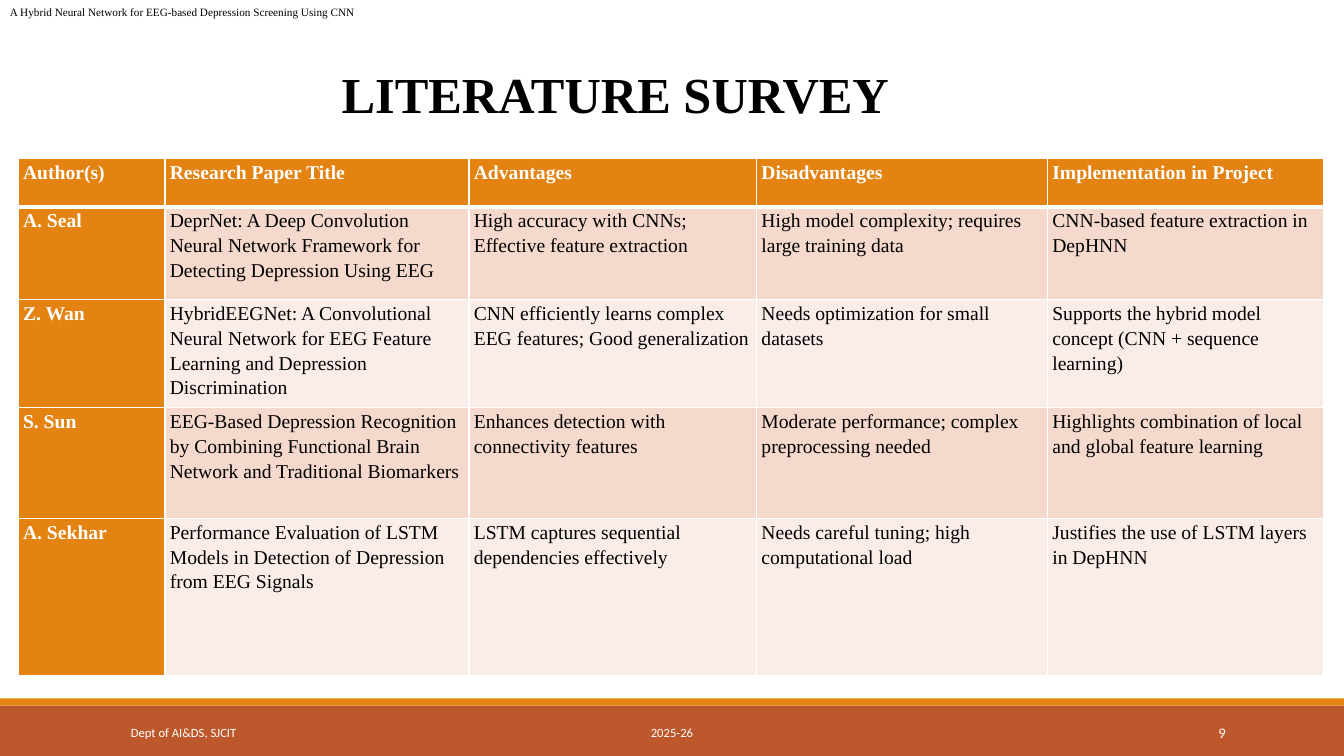
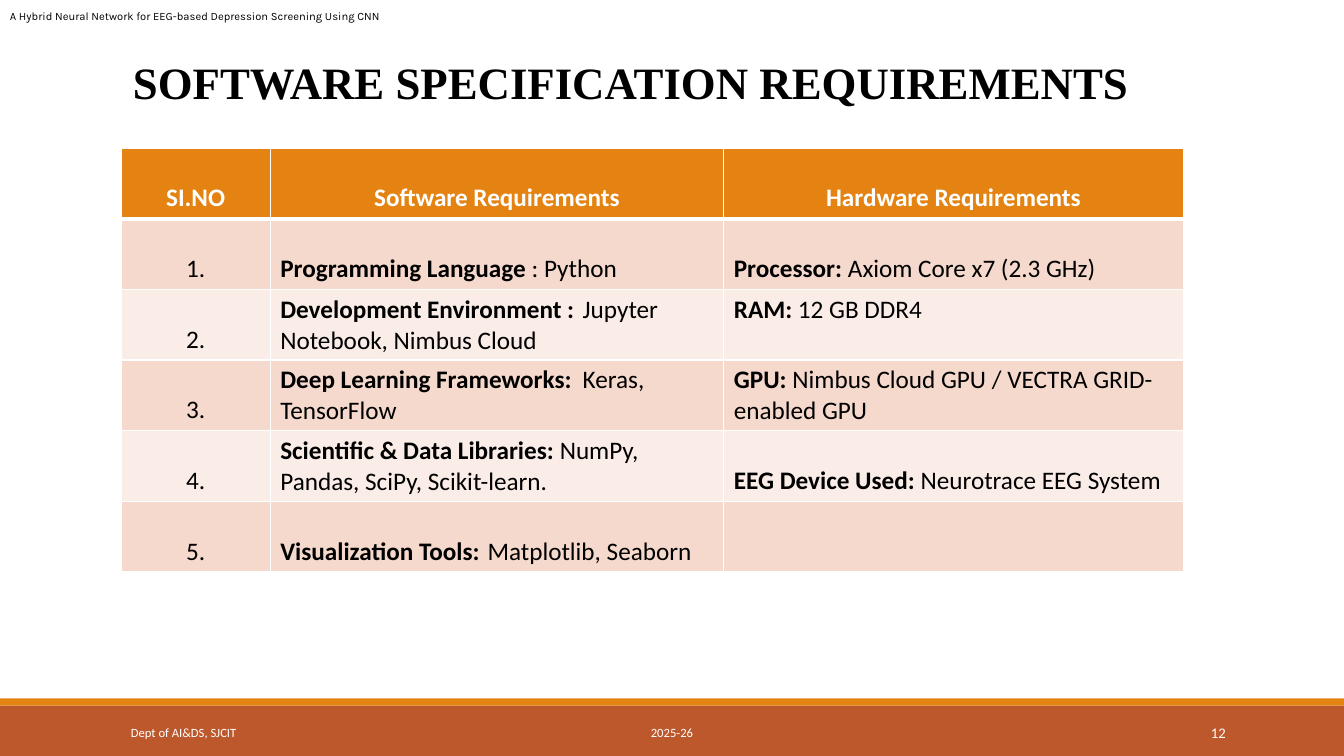
"""Build the literature survey and software specification slides."""
import dataclasses

import pptx
import pptx.dml.color
import pptx.enum.shapes
import pptx.enum.text
import pptx.oxml
import pptx.oxml.ns
import pptx.util

Cm = pptx.util.Cm
Align = pptx.enum.text.PP_ALIGN
Anchor = pptx.enum.text.MSO_ANCHOR


@dataclasses.dataclass(frozen=True)
class Theme:
    """Colours, fonts and type sizes shared by the slides."""
    accent: str = "E48312"
    footer_band: str = "BD582C"
    row_tints: tuple = ("FAEDE7", "F5D9CC")
    white: str = "FFFFFF"
    black: str = "000000"
    serif: str = "Times New Roman"
    sans: str = "Calibri"
    running_sans: str = "Karla"
    running_size: float = 8
    footer_size: float = 9
    number_size: float = 10.5
    survey_size: float = 14
    specification_size: float = 18
    survey_title_size: float = 36
    specification_title_size: float = 32
    rule: float = 1
    header_rule: float = 3


@dataclasses.dataclass(frozen=True)
class Box:
    """A rectangle in centimetres."""
    left: float
    top: float
    width: float
    height: float

    def lengths(self):
        """Return left, top, width and height as slide lengths."""
        return [Cm(side) for side in (self.left, self.top, self.width, self.height)]


THEME = Theme()
PAGE = Box(0, 0, 33.87, 19.05)
FOOTER = Box(0, 17.6, 33.87, 1.45)
RUNNING_TITLE = "A Hybrid Neural Network for EEG-based Depression Screening Using CNN"

SURVEY = [
    ("Author(s)", "Research Paper Title", "Advantages", "Disadvantages",
     "Implementation in Project"),
    ("A. Seal",
     "DeprNet: A Deep Convolution Neural Network Framework for Detecting Depression Using EEG",
     "High accuracy with CNNs; Effective feature extraction",
     "High model complexity; requires large training data",
     "CNN-based feature extraction in DepHNN"),
    ("Z. Wan",
     "HybridEEGNet: A Convolutional Neural Network for EEG Feature Learning and "
     "Depression Discrimination",
     "CNN efficiently learns complex EEG features; Good generalization",
     "Needs optimization for small datasets",
     "Supports the hybrid model concept (CNN + sequence learning)"),
    ("S. Sun",
     "EEG-Based Depression Recognition by Combining Functional Brain Network and "
     "Traditional Biomarkers",
     "Enhances detection with connectivity features",
     "Moderate performance; complex preprocessing needed",
     "Highlights combination of local and global feature learning"),
    ("A. Sekhar",
     "Performance Evaluation of LSTM Models in Detection of Depression from EEG Signals",
     "LSTM captures sequential dependencies effectively",
     "Needs careful tuning; high computational load",
     "Justifies the use of LSTM layers in DepHNN"),
]

SPECIFICATION = [
    ("SI.NO", "Software Requirements", "Hardware Requirements"),
    ("1.", ("Programming Language ", ": Python"),
     ("Processor: ", "Axiom Core x7 (2.3 GHz)")),
    ("2.", ("Development Environment :\t", "Jupyter Notebook, Nimbus Cloud"),
     ("RAM: ", "12 GB DDR4")),
    ("3.", ("Deep Learning Frameworks:\t", "Keras, TensorFlow"),
     ("GPU: ", "Nimbus Cloud GPU / VECTRA GRID-enabled GPU")),
    ("4.", ("Scientific & Data Libraries: ", "NumPy, Pandas, SciPy, Scikit-learn."),
     ("EEG Device Used: ", "Neurotrace EEG System")),
    ("5.", ("Visualization Tools:", "\t Matplotlib, Seaborn"), ""),
]


def rgb(colour):
    """Turn a hex string into a colour."""
    return pptx.dml.color.RGBColor.from_string(colour)


def write(frame, text, size, font=THEME.sans, colour=THEME.black, bold=False,
          align=Align.LEFT, spacing=None, after=None):
    """Write text, or a bold label followed by its value, into a text frame."""
    paragraph = frame.paragraphs[0]
    paragraph.alignment = align
    if spacing:
        paragraph.line_spacing = spacing
    if after:
        paragraph.space_after = pptx.util.Pt(after)
    pieces = [(text, bold)] if isinstance(text, str) else zip(text, (True, False))
    for words, heavy in pieces:
        run = paragraph.add_run()
        run.text = words
        run.font.size = pptx.util.Pt(size)
        run.font.name = font
        run.font.bold = heavy
        run.font.color.rgb = rgb(colour)


def add_label(slide, box, text, size, anchor=Anchor.TOP, **style):
    """Add a wrapped text box."""
    frame = slide.shapes.add_textbox(*box.lengths()).text_frame
    frame.word_wrap = True
    frame.vertical_anchor = anchor
    write(frame, text, size, **style)


def add_layout_bands(slide, box):
    """Place the two footer bands on the layout behind the slide."""
    stripe = 0.18
    bands = (
        (Box(box.left, box.top + stripe, box.width, box.height - stripe), THEME.footer_band),
        (Box(box.left, box.top, box.width, stripe), THEME.accent),
    )
    for position, (area, colour) in enumerate(bands):
        band = slide.shapes.add_shape(
            pptx.enum.shapes.MSO_SHAPE.RECTANGLE, *area.lengths())
        band.shadow.inherit = False
        band.fill.solid()
        band.fill.fore_color.rgb = rgb(colour)
        band.line.fill.background()
        band.element.nvSpPr.cNvPr.set("id", str(20 + position))
        slide.slide_layout.element.cSld.spTree.insert(2 + position, band.element)


def add_footer(slide, box, number):
    """Write department, year and page number over the footer bands."""
    parts = (
        (3.05, 6.86, "Dept of AI&DS, SJCIT", THEME.footer_size, Align.LEFT),
        (10.24, 13.39, "2025-26", THEME.footer_size, Align.CENTER),
        (27.51, 3.63, str(number), THEME.number_size, Align.RIGHT),
    )
    for left, width, text, size, align in parts:
        area = Box(box.left + left, box.top + 0.34, width, 1.02)
        add_label(slide, area, text, size, anchor=Anchor.MIDDLE,
                  colour=THEME.white, align=align)


def set_title(slide, box, text, size):
    """Move and format the title placeholder."""
    title = slide.shapes.title
    title.left, title.top, title.width, title.height = box.lengths()
    frame = title.text_frame
    frame.auto_size = pptx.enum.text.MSO_AUTO_SIZE.NONE
    frame.vertical_anchor = Anchor.TOP
    write(frame, text, size, font=THEME.serif, bold=True, align=Align.CENTER)


def set_borders(cell, row):
    """Draw white cell rules, heavier under the header row."""
    heavy = {(0, "B"), (1, "T")}
    for side in "LRTB":
        width = THEME.header_rule if (row, side) in heavy else THEME.rule
        cell._tc.get_or_add_tcPr().append(pptx.oxml.parse_xml(
            f'<a:ln{side} {pptx.oxml.ns.nsdecls("a")} w="{pptx.util.Pt(width)}">'
            f'<a:solidFill><a:srgbClr val="{THEME.white}"/></a:solidFill></a:ln{side}>'))


def add_grid(slide, box, columns, heights, rows, format_cell):
    """Add a table whose cells are filled and written by format_cell."""
    table = slide.shapes.add_table(len(rows), len(columns), *box.lengths()).table
    table.horz_banding = False
    for column, width in zip(table.columns, columns):
        column.width = Cm(width)
    for line, height in zip(table.rows, heights):
        line.height = Cm(height)
    for row, entries in enumerate(rows):
        for column, entry in enumerate(entries):
            cell = table.cell(row, column)
            set_borders(cell, row)
            fill = format_cell(cell, row, column, entry)
            cell.fill.solid()
            cell.fill.fore_color.rgb = rgb(fill)


def format_survey_cell(cell, row, column, entry):
    """Write one survey cell and return its fill."""
    heading = row == 0 or column == 0
    cell.margin_left = cell.margin_right = Cm(0.12)
    cell.margin_top = cell.margin_bottom = 0
    write(cell.text_frame, entry, THEME.survey_size, font=THEME.serif, bold=heading,
          colour=THEME.white if heading else THEME.black, spacing=1.15, after=10)
    return THEME.accent if heading else THEME.row_tints[row % 2]


def format_specification_cell(cell, row, column, entry):
    """Write one specification cell and return its fill."""
    heading = row == 0
    cell.vertical_anchor = Anchor.TOP if (row, column) == (2, 2) else Anchor.BOTTOM
    if entry:
        write(cell.text_frame, entry, THEME.specification_size, bold=heading,
              colour=THEME.white if heading else THEME.black,
              align=Align.CENTER if heading or column == 0 else Align.LEFT)
    return THEME.accent if heading else THEME.row_tints[row % 2]


def build_survey(slide, page):
    """Fill the literature survey slide."""
    add_label(slide, Box(page.left, page.top, 9.9, 0.6), RUNNING_TITLE,
              THEME.running_size, font=THEME.serif)
    set_title(slide, Box(page.left + 7.04, page.top + 1.47, 16.94, 1.8),
              "LITERATURE SURVEY", THEME.survey_title_size)
    add_grid(slide, Box(page.left + 0.46, page.top + 3.99, 32.89, 12.75),
             (3.7, 7.66, 7.25, 7.33, 6.95), (1.22, 2.34, 2.44, 2.79, 3.96),
             SURVEY, format_survey_cell)


def build_specification(slide, page):
    """Fill the software specification slide."""
    add_label(slide, Box(page.left, page.top + 0.1, 10.24, 0.6), RUNNING_TITLE,
              THEME.running_size, font=THEME.running_sans)
    set_title(slide, Box(page.left + 3.05, page.top + 1.24, 25.7, 1.63),
              "SOFTWARE SPECIFICATION REQUIREMENTS", THEME.specification_title_size)
    add_grid(slide, Box(page.left + 3.05, page.top + 3.73, 26.77, 10.68),
             (3.76, 11.43, 11.58), [1.78] * len(SPECIFICATION),
             SPECIFICATION, format_specification_cell)


def main():
    """Build and save the presentation."""
    deck = pptx.Presentation()
    deck.slide_width, deck.slide_height = Cm(PAGE.width), Cm(PAGE.height)
    layout = deck.slide_layouts[5]
    for number, build in ((9, build_survey), (12, build_specification)):
        slide = deck.slides.add_slide(layout)
        if len(deck.slides) == 1:
            add_layout_bands(slide, FOOTER)
        add_footer(slide, FOOTER, number)
        build(slide, PAGE)
    deck.save("out.pptx")


if __name__ == "__main__":
    main()
